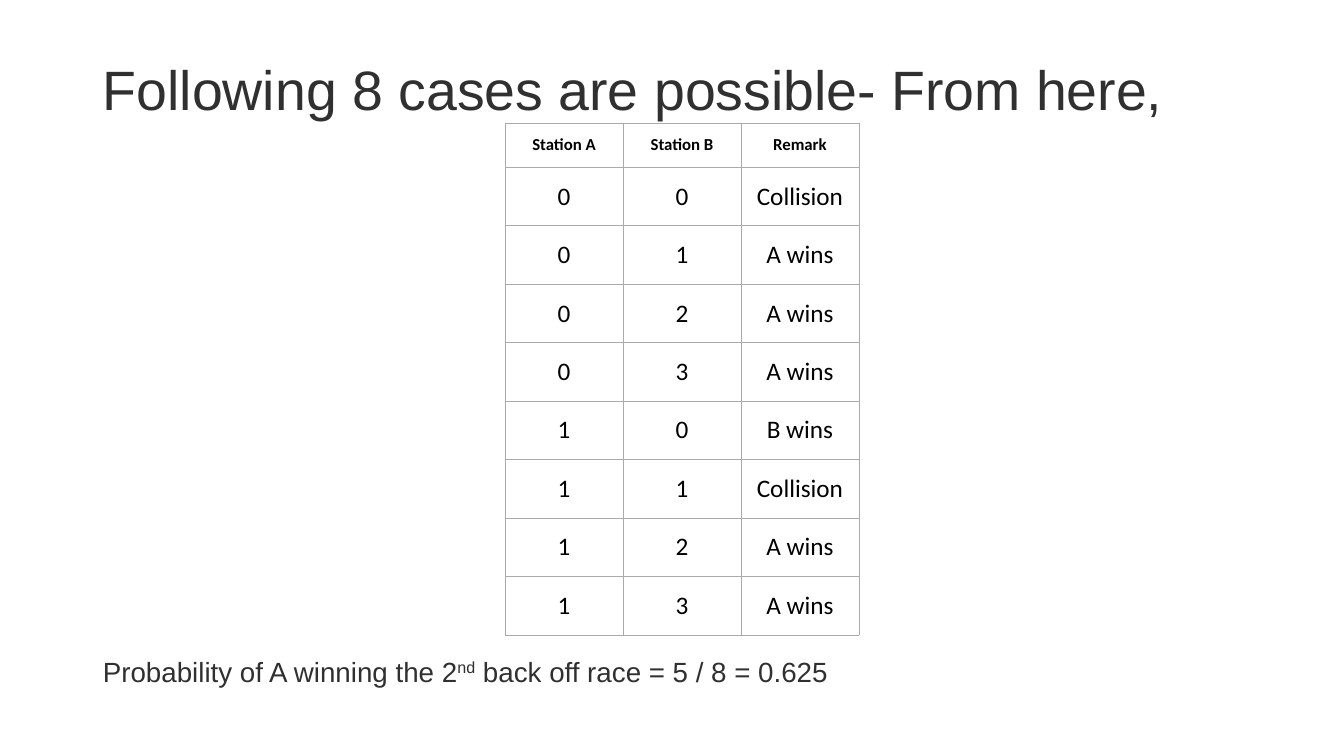
from typing import NamedTuple

from lxml.etree import SubElement
from pptx import Presentation
from pptx.dml.color import RGBColor
from pptx.enum.text import MSO_ANCHOR, MSO_AUTO_SIZE, PP_ALIGN
from pptx.oxml.ns import qn
from pptx.shapes.placeholder import SlidePlaceholder
from pptx.slide import Slide
from pptx.table import _Cell as Cell
from pptx.util import Inches, Pt

INK = RGBColor(0x30, 0x30, 0x30)
BLACK = RGBColor(0, 0, 0)
WHITE = RGBColor(0xFF, 0xFF, 0xFF)
BORDER = RGBColor(0xAA, 0xAA, 0xAA)
TEXT_LEFT, TEXT_WIDTH = 0.92, 11.5
COLUMN_WIDTH, HEADER_HEIGHT, CASE_HEIGHT = 1.17, 0.44, 0.58


class Case(NamedTuple):
    station_a: str
    station_b: str
    remark: str


HEADER = Case("Station A", "Station B", "Remark")
CASES = [
    Case("0", "0", "Collision"),
    Case("0", "1", "A wins"),
    Case("0", "2", "A wins"),
    Case("0", "3", "A wins"),
    Case("1", "0", "B wins"),
    Case("1", "1", "Collision"),
    Case("1", "2", "A wins"),
    Case("1", "3", "A wins"),
]


def format_text_line(holder: SlidePlaceholder, top: float, height: float, size: float) -> None:
    """Place a one-paragraph placeholder and give its text the slide's style."""
    holder.left, holder.top = Inches(TEXT_LEFT), Inches(top)
    holder.width, holder.height = Inches(TEXT_WIDTH), Inches(height)
    frame = holder.text_frame
    frame.auto_size = MSO_AUTO_SIZE.NONE
    frame.word_wrap = True
    frame.vertical_anchor = MSO_ANCHOR.MIDDLE
    paragraph = frame.paragraphs[0]
    paragraph.alignment = PP_ALIGN.LEFT
    paragraph.line_spacing = 0.9
    paragraph.space_before = Pt(0)
    for run in paragraph.runs:
        run.font.name = "Arial"
        run.font.size = Pt(size)
        run.font.color.rgb = INK


def add_conclusion(holder: SlidePlaceholder) -> None:
    paragraph = holder.text_frame.paragraphs[0]
    properties = paragraph._p.get_or_add_pPr()
    properties.set("marL", "0")
    properties.set("indent", "0")
    SubElement(properties, qn("a:buNone"))
    for part in ("Probability of A winning the 2", "nd", " back off race = 5 / 8 = 0.625"):
        paragraph.add_run().text = part
    ordinal = paragraph.runs[1]
    ordinal._r.get_or_add_rPr().set("baseline", "30000")
    format_text_line(holder, top=6.43, height=0.5, size=19.8)


def add_borders(cell: Cell) -> None:
    properties = cell._tc.get_or_add_tcPr()
    for index, side in enumerate(("lnL", "lnR", "lnT", "lnB")):
        line = SubElement(properties, qn(f"a:{side}"), w=str(Pt(0.6)))
        fill = SubElement(line, qn("a:solidFill"))
        SubElement(fill, qn("a:srgbClr"), val=str(BORDER))
        properties.insert(index, line)


def format_cell(cell: Cell, text: str, size: float, bold: bool) -> None:
    cell.text = text
    cell.vertical_anchor = MSO_ANCHOR.MIDDLE
    cell.margin_left = cell.margin_right = Inches(0.08)
    cell.margin_top = cell.margin_bottom = Inches(0.07)
    cell.fill.solid()
    cell.fill.fore_color.rgb = WHITE
    add_borders(cell)
    paragraph = cell.text_frame.paragraphs[0]
    paragraph.alignment = PP_ALIGN.CENTER
    font = paragraph.runs[0].font
    font.name = "Calibri"
    font.size = Pt(size)
    font.bold = bold
    font.color.rgb = BLACK


def add_case_table(slide: Slide) -> None:
    rows = [HEADER, *CASES]
    height = HEADER_HEIGHT + CASE_HEIGHT * len(CASES)
    table = slide.shapes.add_table(
        len(rows), len(HEADER), Inches(5.01), Inches(1.22),
        Inches(COLUMN_WIDTH * len(HEADER)), Inches(height),
    ).table
    table.horz_banding = False
    for column in table.columns:
        column.width = Inches(COLUMN_WIDTH)
    for row_index, case in enumerate(rows):
        is_header = row_index == 0
        table.rows[row_index].height = Inches(HEADER_HEIGHT if is_header else CASE_HEIGHT)
        for column_index, text in enumerate(case):
            format_cell(table.cell(row_index, column_index), text,
                        size=12 if is_header else 18, bold=is_header)


def main() -> None:
    deck = Presentation()
    deck.slide_width, deck.slide_height = Inches(13.33), Inches(7.5)
    slide = deck.slides.add_slide(deck.slide_layouts[1])
    heading = slide.shapes.title
    heading.text_frame.text = "Following 8 cases are possible- From here,"
    format_text_line(heading, top=0.55, height=0.73, size=39.6)
    add_conclusion(slide.placeholders[1])
    add_case_table(slide)
    deck.save("out.pptx")


if __name__ == "__main__":
    main()
